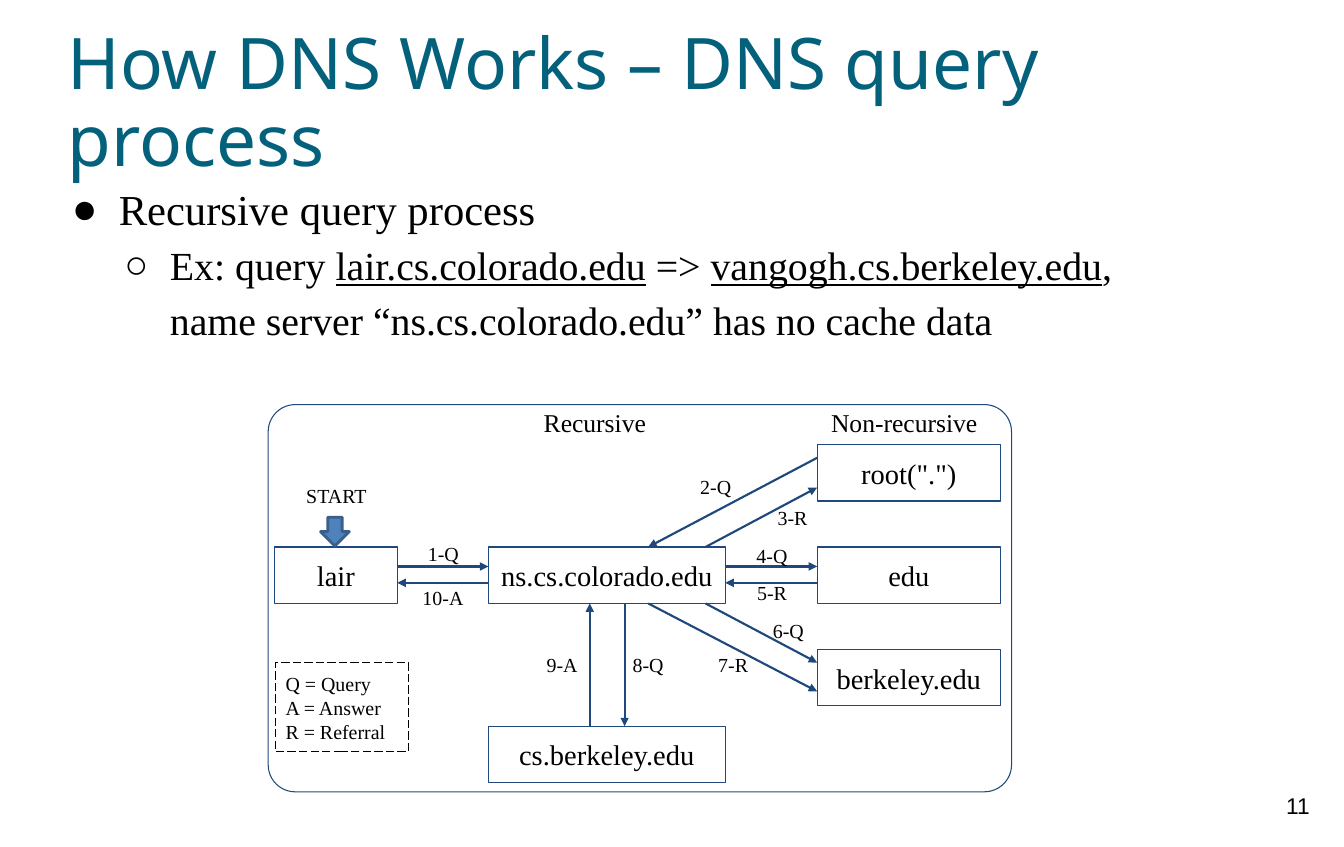
"""Builds a slide on the recursive DNS query process."""
from dataclasses import dataclass

from lxml import etree
from pptx import Presentation
from pptx.dml.color import RGBColor
from pptx.enum.dml import MSO_LINE
from pptx.enum.shapes import MSO_CONNECTOR, MSO_SHAPE
from pptx.enum.text import MSO_ANCHOR, MSO_AUTO_SIZE, PP_ALIGN
from pptx.oxml.ns import qn
from pptx.util import Pt

LEFT, CENTER = PP_ALIGN.LEFT, PP_ALIGN.CENTER
TOP, MIDDLE = MSO_ANCHOR.TOP, MSO_ANCHOR.MIDDLE
NO_FIT, GROW = MSO_AUTO_SIZE.NONE, MSO_AUTO_SIZE.SHAPE_TO_FIT_TEXT
RECTANGLE, ROUNDED, DOWN_ARROW = MSO_SHAPE.RECTANGLE, MSO_SHAPE.ROUNDED_RECTANGLE, MSO_SHAPE.DOWN_ARROW
STRAIGHT, LONG_DASH = MSO_CONNECTOR.STRAIGHT, MSO_LINE.LONG_DASH

SERIF, SANS, TITLE_FONT = "Times New Roman", "Arial", "Noto Sans"
BLACK, WHITE, NAVY, TEAL = "000000", "FFFFFF", "1F497D", "04617B"
BLUE, DARK_BLUE = "4F81BD", "3A5F8C"

INSET = 7.2
NODE_HEIGHT = 39.7
CLIENT_LEFT, CLIENT_WIDTH = 193, 86.4
RESOLVER_LEFT, RESOLVER_WIDTH = 343.4, 166.6
REMOTE_LEFT, REMOTE_WIDTH = 574.6, 128.9
ROOT_TOP, ROW_STEP = 312.5, 72
MAIN_TOP = ROOT_TOP + ROW_STEP
BERKELEY_TOP = MAIN_TOP + ROW_STEP
AUTHORITY_TOP = 510.5
CLIENT_RIGHT = CLIENT_LEFT + CLIENT_WIDTH
RESOLVER_RIGHT = RESOLVER_LEFT + RESOLVER_WIDTH
MAIN_BOTTOM = MAIN_TOP + NODE_HEIGHT
QUERY_Y, REPLY_Y = 398.2, 409.7
ANSWER_X, QUERY_X = 414.7, 439.2
INNER_X, OUTER_X = 455.8, 496.1


@dataclass(frozen=True)
class Node:
    """A host or name server box."""
    name: str
    left: float
    top: float
    width: float


@dataclass(frozen=True)
class Label:
    """A centred caption in the diagram."""
    text: str
    left: float
    top: float
    width: float = 40.3
    height: float = 23.8
    size: float = 14
    font: str = SERIF


@dataclass(frozen=True)
class Message:
    """An arrow from one point to another."""
    start_x: float
    start_y: float
    end_x: float
    end_y: float


NODES = [
    Node("lair", CLIENT_LEFT, MAIN_TOP, CLIENT_WIDTH),
    Node("ns.cs.colorado.edu", RESOLVER_LEFT, MAIN_TOP, RESOLVER_WIDTH),
    Node("cs.berkeley.edu", RESOLVER_LEFT, AUTHORITY_TOP, RESOLVER_WIDTH),
    Node('root(".")', REMOTE_LEFT, ROOT_TOP, REMOTE_WIDTH),
    Node("edu", REMOTE_LEFT, MAIN_TOP, REMOTE_WIDTH),
    Node("berkeley.edu", REMOTE_LEFT, BERKELEY_TOP, REMOTE_WIDTH),
]
MESSAGES = [
    Message(CLIENT_RIGHT, QUERY_Y, RESOLVER_LEFT, QUERY_Y),
    Message(RESOLVER_LEFT, REPLY_Y, CLIENT_RIGHT, REPLY_Y),
    Message(RESOLVER_RIGHT, QUERY_Y, REMOTE_LEFT, QUERY_Y),
    Message(REMOTE_LEFT, REPLY_Y, RESOLVER_RIGHT, REPLY_Y),
    Message(QUERY_X, MAIN_BOTTOM, QUERY_X, AUTHORITY_TOP),
    Message(ANSWER_X, AUTHORITY_TOP, ANSWER_X, MAIN_BOTTOM),
    Message(OUTER_X, MAIN_TOP, REMOTE_LEFT, 342.7),
    Message(REMOTE_LEFT, 321.8, INNER_X, MAIN_TOP),
    Message(OUTER_X, MAIN_BOTTOM, REMOTE_LEFT, 465.8),
    Message(INNER_X, MAIN_BOTTOM, REMOTE_LEFT, 486),
]
LABELS = [
    Label("1-Q", 291.6, 373.7),
    Label("2-Q", 483.1, 326.2),
    Label("3-R", 537.1, 348.5),
    Label("4-Q", 522.7, 375.1),
    Label("5-R", 522.7, 401),
    Label("6-Q", 534.2, 427.7),
    Label("7-R", 495.4, 451.4),
    Label("8-Q", 435.6, 451.4),
    Label("9-A", 375.1, 451.4),
    Label("10-A", 283, 404.6, width=56.9),
    Label("START", 203.8, 332.6, width=65.5),
    Label("Recursive", 339.8, 278.6, 157, 33.1, 18),
    Label("Non-recursive", 557.3, 278.6, 157, 33.1, 18),
    Label("11", 884.2, 549.4, 56.9, 45.4, 16, SANS),
]


def color(value: str) -> RGBColor:
    """Turn a hex string into a colour."""
    return RGBColor.from_string(value)


def add_run(paragraph, text: str, size: float, font: str = SERIF, ink: str = BLACK, underline: bool = False) -> None:
    """Append one formatted run."""
    run = paragraph.add_run()
    run.text = text
    run.font.size, run.font.name = Pt(size), font
    run.font.color.rgb = color(ink)
    run.font.underline = underline


def set_frame(frame, inset: float, anchor, fit=NO_FIT) -> None:
    """Set the insets, anchor, wrapping and fit of a text frame."""
    frame.margin_left = frame.margin_right = frame.margin_top = frame.margin_bottom = Pt(inset)
    frame.vertical_anchor = anchor
    frame.word_wrap = True
    frame.auto_size = fit


def place(shape, left: float, top: float, width: float, height: float) -> None:
    """Move and size a placeholder."""
    shape.left, shape.top, shape.width, shape.height = map(Pt, (left, top, width, height))


def add_box(slide, kind, left: float, top: float, width: float, height: float,
            fill: str | None = None, line: str = NAVY, weight: float = 0.75):
    """Draw an outlined preset shape."""
    box = slide.shapes.add_shape(kind, *map(Pt, (left, top, width, height)))
    box.shadow.inherit = False
    if fill:
        box.fill.solid()
        box.fill.fore_color.rgb = color(fill)
    else:
        box.fill.background()
    box.line.color.rgb = color(line)
    box.line.width = Pt(weight)
    set_frame(box.text_frame, INSET, MIDDLE)
    return box


def add_node(slide, node: Node) -> None:
    """Draw one server box with its name."""
    box = add_box(slide, RECTANGLE, node.left, node.top, node.width, NODE_HEIGHT, WHITE)
    paragraph = box.text_frame.paragraphs[0]
    paragraph.alignment = CENTER
    add_run(paragraph, node.name, 20)


def add_label(slide, label: Label) -> None:
    """Draw one caption."""
    caption = slide.shapes.add_textbox(*map(Pt, (label.left, label.top, label.width, label.height)))
    set_frame(caption.text_frame, INSET, TOP)
    paragraph = caption.text_frame.paragraphs[0]
    paragraph.alignment = CENTER
    add_run(paragraph, label.text, label.size, label.font)


def add_message(slide, message: Message) -> None:
    """Draw one message arrow."""
    ends = (message.start_x, message.start_y, message.end_x, message.end_y)
    arrow = slide.shapes.add_connector(STRAIGHT, *map(Pt, ends))
    arrow.line.color.rgb = color(NAVY)
    arrow.line.width = Pt(1.5)
    etree.SubElement(arrow.line._get_or_add_ln(), qn("a:tailEnd"), type="triangle")
    etree.SubElement(arrow._element.spPr, qn("a:effectLst"))


def set_bullet(paragraph, mark: str, margin: float, indent: float) -> None:
    """Give a paragraph its bullet, indents and spacing."""
    paragraph.alignment = LEFT
    paragraph.line_spacing = 1.15
    paragraph.space_before = Pt(0)
    properties = paragraph._p.get_or_add_pPr()
    properties.set("marL", str(Pt(margin)))
    properties.set("indent", str(Pt(indent)))
    bullet_color = etree.SubElement(properties, qn("a:buClr"))
    etree.SubElement(bullet_color, qn("a:srgbClr"), val=BLACK)
    etree.SubElement(properties, qn("a:buChar"), char=mark)


def write_heading(title) -> None:
    """Fill the title placeholder."""
    place(title, 47.5, 23.8, 850.3, 99.4)
    set_frame(title.text_frame, 0, MIDDLE)
    heading = title.text_frame.paragraphs[0]
    heading.alignment = LEFT
    heading.line_spacing = 0.9
    add_run(heading, "How DNS Works – DNS query process", 50, TITLE_FONT, TEAL)


def write_outline(body) -> None:
    """Fill the body placeholder."""
    place(body, 47.5, 123.1, 852.5, 114.5)
    set_frame(body.text_frame, 0, TOP, GROW)
    topic = body.text_frame.paragraphs[0]
    set_bullet(topic, "●", 36, -33)
    add_run(topic, "Recursive query process", 30)
    example = body.text_frame.add_paragraph()
    example.level = 1
    set_bullet(example, "○", 72, -32)
    add_run(example, "Ex: query ", 28)
    add_run(example, "lair.cs.colorado.edu", 28, underline=True)
    add_run(example, " => ", 28)
    add_run(example, "vangogh.cs.berkeley.edu", 28, underline=True)
    add_run(example, ", ", 28)
    example.add_line_break()
    add_run(example, "name server “ns.cs.colorado.edu” has no cache data", 28)


def add_legend(slide) -> None:
    """Draw the dashed key to the message letters."""
    legend = add_box(slide, RECTANGLE, 193.7, 465.8, 93.6, 62.6, line=BLACK)
    legend.line.dash_style = LONG_DASH
    frame = legend.text_frame
    for row, meaning in enumerate(("Q = Query", "A = Answer", "R = Referral")):
        paragraph = frame.add_paragraph() if row else frame.paragraphs[0]
        paragraph.alignment = LEFT
        add_run(paragraph, meaning, 14)


def main() -> None:
    """Build and save the slide."""
    deck = Presentation()
    deck.slide_width, deck.slide_height = Pt(945), Pt(595.4)
    slide = deck.slides.add_slide(deck.slide_layouts[1])
    write_heading(slide.shapes.title)
    write_outline(slide.placeholders[1])
    panel = add_box(slide, ROUNDED, 188.6, 284.4, 522.7, 272.2)
    panel.adjustments[0] = 0.07
    for node in NODES:
        add_node(slide, node)
    for message in MESSAGES:
        add_message(slide, message)
    add_legend(slide)
    add_box(slide, DOWN_ARROW, 225.4, 363.6, 20.2, 20.2, BLUE, DARK_BLUE, 2)
    for label in LABELS:
        add_label(slide, label)
    deck.save("out.pptx")


if __name__ == "__main__":
    main()
